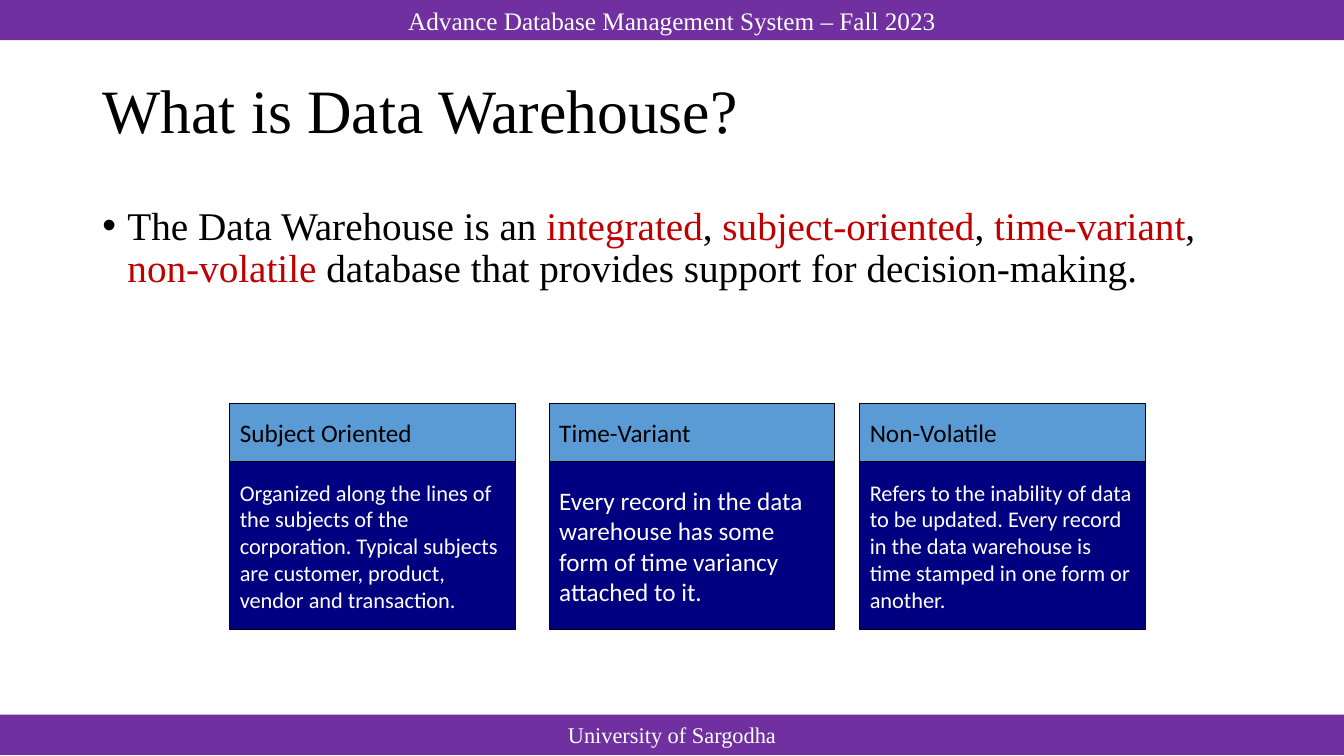
from lxml.etree import SubElement
from pptx import Presentation
from pptx.dml.color import RGBColor
from pptx.enum.shapes import MSO_SHAPE as SHAPE
from pptx.enum.text import MSO_ANCHOR as ANCHOR, MSO_AUTO_SIZE as AUTO, PP_ALIGN as ALIGN
from pptx.oxml.ns import qn
from pptx.util import Pt

COLORS = {
    "purple": "7030A0",
    "blue": "5B9BD5",
    "navy": "000080",
    "red": "C00000",
    "black": "000000",
    "white": "FFFFFF",
}
SERIF, SANS = "Times New Roman", "Calibri"
WIDTH, HEIGHT = 960, 540
BAR_H = 28.8
MARGIN, CONTENT_W = 66, 828
CARD_W, CARD_TOP, HEAD_H, BODY_H = 203.8, 288, 41.8, 120.2

DEFINITION = [
    ("The Data Warehouse is an ", "black"),
    ("integrated", "red"),
    (", ", "black"),
    ("subject-oriented", "red"),
    (", ", "black"),
    ("time-variant", "red"),
    (", ", "black"),
    ("non-volatile", "red"),
    (" database that provides support for decision-making.", "black"),
]
CARDS = [
    (164.2, "Subject Oriented", 16,
     "Organized along the lines of the subjects of the corporation. "
     "Typical subjects are customer, product, vendor and transaction."),
    (392.4, "Time-Variant", 18,
     "Every record in the data warehouse has some form of time variancy "
     "attached to it."),
    (614.2, "Non-Volatile", 16,
     "Refers to the inability of data to be updated. Every record in the data "
     "warehouse is time stamped in one form or another."),
]


def rgb(name):
    return RGBColor.from_string(COLORS[name])


def set_attrs(obj, **values):
    for name, value in values.items():
        setattr(obj, name, value)


def place(sp, x, y, w, h):
    set_attrs(sp, left=Pt(x), top=Pt(y), width=Pt(w), height=Pt(h))


def add_run(p, text, size, color, font):
    r = p.add_run()
    r.text = text
    set_attrs(r.font, size=Pt(size), name=font)
    r.font.color.rgb = rgb(color)


def add_box(slide, box, fill, text, size, color, font, align=ALIGN.LEFT, line=None):
    sp = slide.shapes.add_shape(SHAPE.RECTANGLE, *map(Pt, box))
    sp.shadow.inherit = False
    sp.fill.solid()
    sp.fill.fore_color.rgb = rgb(fill)
    if line:
        sp.line.color.rgb = rgb(line)
        sp.line.width = Pt(0.75)
    else:
        sp.line.fill.background()
    tf = sp.text_frame
    set_attrs(tf, word_wrap=True, vertical_anchor=ANCHOR.MIDDLE)
    p = tf.paragraphs[0]
    p.alignment = align
    add_run(p, text, size, color, font)


def add_bar(slide, y, text, size):
    add_box(slide, (0, y, WIDTH, BAR_H), "purple", text, size, "white", SERIF, ALIGN.CENTER)


def add_title(slide, text):
    sp = slide.shapes.title
    place(sp, MARGIN, BAR_H, CONTENT_W, 104.4)
    tf = sp.text_frame
    set_attrs(tf, word_wrap=True, auto_size=AUTO.NONE, vertical_anchor=ANCHOR.MIDDLE)
    p = tf.paragraphs[0]
    set_attrs(p, alignment=ALIGN.LEFT, line_spacing=0.9)
    add_run(p, text, 44, "black", SERIF)


def add_bullet(slide, box, parts):
    tf = slide.shapes.add_textbox(*map(Pt, box)).text_frame
    tf.word_wrap = True
    p = tf.paragraphs[0]
    set_attrs(p, line_spacing=0.9, space_before=Pt(10))
    pPr = p._p.get_or_add_pPr()
    pPr.set("marL", str(Pt(18)))
    pPr.set("indent", str(Pt(-18)))
    SubElement(pPr, qn("a:buFont")).set("typeface", "Arial")
    SubElement(pPr, qn("a:buChar")).set("char", "•")
    for text, color in parts:
        add_run(p, text, 28, color, SERIF)


def add_card(slide, x, heading, size, text):
    add_box(slide, (x, CARD_TOP, CARD_W, HEAD_H), "blue", heading, 18, "black", SANS,
            line="black")
    add_box(slide, (x, CARD_TOP + HEAD_H, CARD_W, BODY_H), "navy", text, size, "white", SANS,
            line="black")


def main():
    prs = Presentation()
    set_attrs(prs, slide_width=Pt(WIDTH), slide_height=Pt(HEIGHT))
    slide = prs.slides.add_slide(prs.slide_layouts[5])
    add_bar(slide, 0, "Advance Database Management System – Fall 2023", 18)
    add_title(slide, "What is Data Warehouse?")
    add_bullet(slide, (MARGIN, 144, CONTENT_W, 84.2), DEFINITION)
    add_bar(slide, 510.5, "University of Sargodha", 16)
    for card in CARDS:
        add_card(slide, *card)
    prs.save("out.pptx")


if __name__ == "__main__":
    main()
